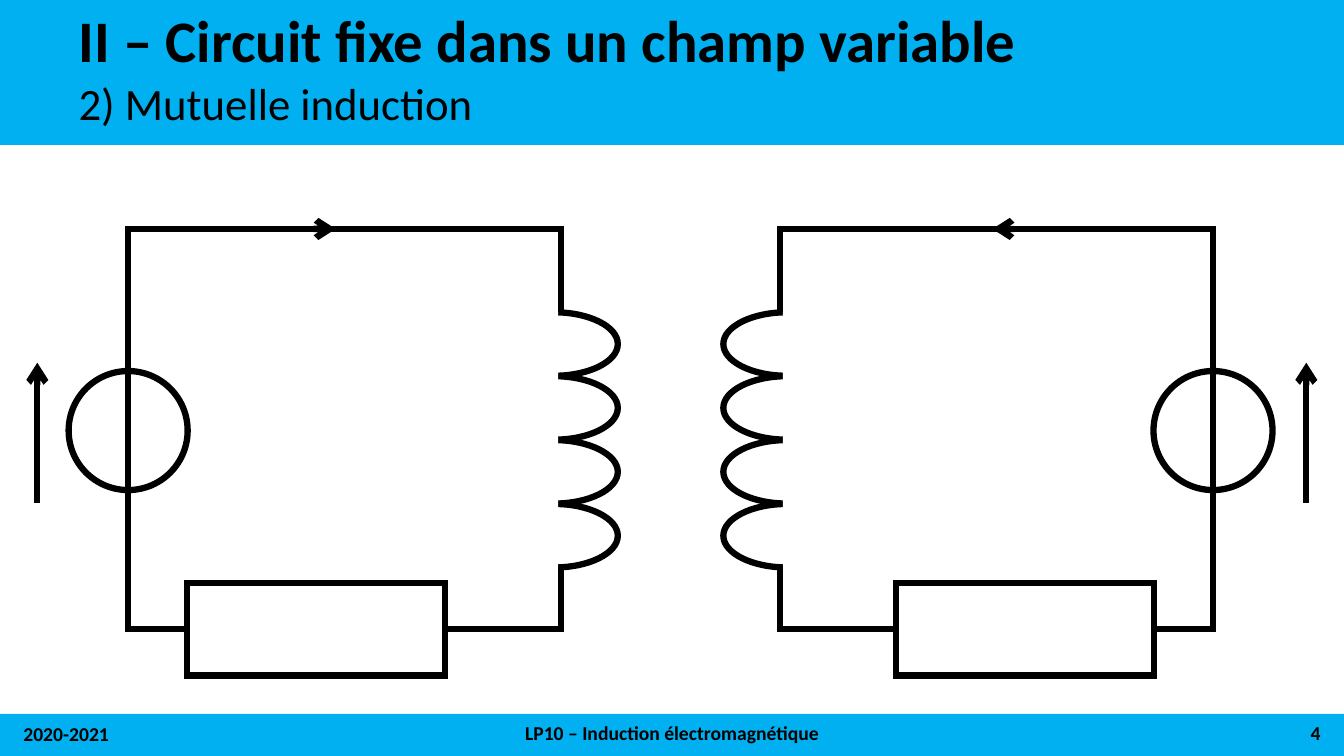
from lxml import etree
from pptx import Presentation
from pptx.dml.color import RGBColor
from pptx.enum.shapes import MSO_CONNECTOR, MSO_SHAPE
from pptx.enum.text import MSO_ANCHOR, PP_ALIGN
from pptx.oxml.ns import qn
from pptx.util import Cm, Pt

RECTANGLE, CIRCLE = MSO_SHAPE.RECTANGLE, MSO_SHAPE.OVAL
STRAIGHT = MSO_CONNECTOR.STRAIGHT
LEFT, CENTER, RIGHT = PP_ALIGN.LEFT, PP_ALIGN.CENTER, PP_ALIGN.RIGHT
TOP, MIDDLE = MSO_ANCHOR.TOP, MSO_ANCHOR.MIDDLE

COLORS = {"band": "00B0F0", "ink": "000000", "paper": "FFFFFF"}
FONT = "Calibri"
STROKE = Pt(4.5)
SLIDE_W, SLIDE_H = 33.87, 19.05
MIRROR_SPAN = 33.8  # x of a point plus x of its mirror point, in cm

# Left circuit, in cm: (x1, y1, x2, y2)
SOURCE_X, COIL_X, TOP_Y, BOTTOM_Y = 3.23, 14.14, 5.77, 15.85
WIRES = [
    (SOURCE_X, 5.69, SOURCE_X, 15.93),
    (SOURCE_X, TOP_Y, 14.22, TOP_Y),
    (COIL_X, 5.84, COIL_X, 7.85),
    (11.23, BOTTOM_Y, 14.22, BOTTOM_Y),
    (COIL_X, 14.25, COIL_X, BOTTOM_Y),
    (SOURCE_X, BOTTOM_Y, 4.72, BOTTOM_Y),
]
# Each arrow with its own mirror span
VOLTAGE = (0.94, 12.67, 0.94, 9.14), 33.86
CURRENT = (7.47, TOP_Y, 8.46, TOP_Y), 33.47

# Half ellipse as two cubic curves, in units of its radii
K = 0.55
LOBE_CURVE = [(K, -1), (1, -K), (1, 0), (1, K), (K, 1), (0, 1)]
LOBES, LOBE_X, LOBE_Y, LOBE_PITCH = 4, 13.97, 7.87, 1.61
LOBE_W, LOBE_H = 1.6, 1.6


def color(name):
    return RGBColor.from_string(COLORS[name])


def box(x, y, w, h):
    return Cm(x), Cm(y), Cm(w), Cm(h)


def add_block(slide, place, fill):
    block = slide.shapes.add_shape(RECTANGLE, *box(*place))
    block.shadow.inherit = False
    block.fill.solid()
    block.fill.fore_color.rgb = color(fill)
    block.line.fill.background()
    return block


def add_band(slide, y, height):
    band = add_block(slide, (0, y, SLIDE_W, height), "band")
    # Behind the title placeholder
    slide.shapes._spTree.insert(2, band._element)


def write(shape, text, size, bold=False, align=LEFT, anchor=MIDDLE, spacing=1.0):
    frame = shape.text_frame
    frame.text = text
    frame.word_wrap = True
    frame.vertical_anchor = anchor
    paragraph = frame.paragraphs[0]
    paragraph.alignment = align
    paragraph.line_spacing = spacing
    font = paragraph.font
    font.name, font.size, font.bold = FONT, Pt(size), bold
    font.color.rgb = color("ink")


def add_text(slide, place, text, size, **style):
    write(slide.shapes.add_textbox(*box(*place)), text, size, **style)


def ink(shape):
    shape.line.color.rgb = color("ink")
    shape.line.width = STROKE
    return shape.line._get_or_add_ln()


def outline(shape):
    shape.shadow.inherit = False
    shape.fill.background()
    etree.SubElement(ink(shape), qn("a:miter"), lim="800000")


def add_wire(slide, x1, y1, x2, y2, arrow=False):
    wire = slide.shapes.add_connector(STRAIGHT, Cm(x1), Cm(y1), Cm(x2), Cm(y2))
    stroke = ink(wire)
    if arrow:
        etree.SubElement(stroke, qn("a:tailEnd"), type="arrow")
    etree.SubElement(wire._element.spPr, qn("a:effectLst"))


def curve_segments(shape):
    """Turn every three line segments into one cubic curve."""
    segments = list(shape._element.iter(qn("a:lnTo")))
    for start in range(0, len(segments), 3):
        curve = etree.Element(qn("a:cubicBezTo"))
        segments[start].addprevious(curve)
        for segment in segments[start:start + 3]:
            curve.append(segment[0])
            segment.getparent().remove(segment)


def add_coil(slide, place_x):
    def point(lobe, u, v):
        middle = LOBE_Y + lobe * LOBE_PITCH + LOBE_H / 2
        return Cm(place_x(LOBE_X + u * LOBE_W)), Cm(middle + v * LOBE_H / 2)

    builder = slide.shapes.build_freeform(*point(0, 0, -1))
    for lobe in range(LOBES):
        if lobe:
            builder.move_to(*point(lobe, 0, -1))
        builder.add_line_segments([point(lobe, u, v) for u, v in LOBE_CURVE])
    coil = builder.convert_to_shape()
    curve_segments(coil)
    outline(coil)


def add_circuit(slide, mirrored):
    def place_x(x, span=MIRROR_SPAN):
        return span - x if mirrored else x

    def place(x, y, w, h):
        return (place_x(x + w) if mirrored else x), y, w, h

    add_coil(slide, place_x)
    # Hides the straight sides of the coil lobes
    add_block(slide, place(13.84, 7.67, 0.23, 6.86), "paper")

    source = 1.73, 9.35, 3, 3
    resistor = 4.72, 14.7, 6.5, 2.32
    for kind, spot in ((CIRCLE, source), (RECTANGLE, resistor)):
        outline(slide.shapes.add_shape(kind, *box(*place(*spot))))

    for x1, y1, x2, y2 in WIRES:
        add_wire(slide, place_x(x1), y1, place_x(x2), y2)
    for (x1, y1, x2, y2), span in (VOLTAGE, CURRENT):
        add_wire(slide, place_x(x1, span), y1, place_x(x2, span), y2, arrow=True)


def main():
    prs = Presentation()
    prs.slide_width, prs.slide_height = Cm(SLIDE_W), Cm(SLIDE_H)
    slide = prs.slides.add_slide(prs.slide_layouts[5])

    # Header
    add_band(slide, -0.03, 3.68)
    title = slide.shapes.title
    title.left, title.top, title.width, title.height = box(1.73, 0.28, 29.82, 1.65)
    write(title, "II – Circuit fixe dans un champ variable", 42, bold=True, spacing=0.9)
    add_text(slide, (1.73, 2.05, 29.82, 1.4), "2) Mutuelle induction", 32,
             anchor=TOP, spacing=0.8)

    # Footer
    add_band(slide, 17.99, 1.07)
    for x, y, width, text, align in (
        (0.34, 17.98, 7.62, "2020-2021", LEFT),
        (7.96, 17.96, 17.96, "LP10 – Induction électromagnétique", CENTER),
        (25.91, 17.96, 7.62, "4", RIGHT),
    ):
        add_text(slide, (x, y, width, 1.02), text, 14, bold=True, align=align)

    # Coupled circuits
    for mirrored in (False, True):
        add_circuit(slide, mirrored)

    prs.save("out.pptx")


if __name__ == "__main__":
    main()
